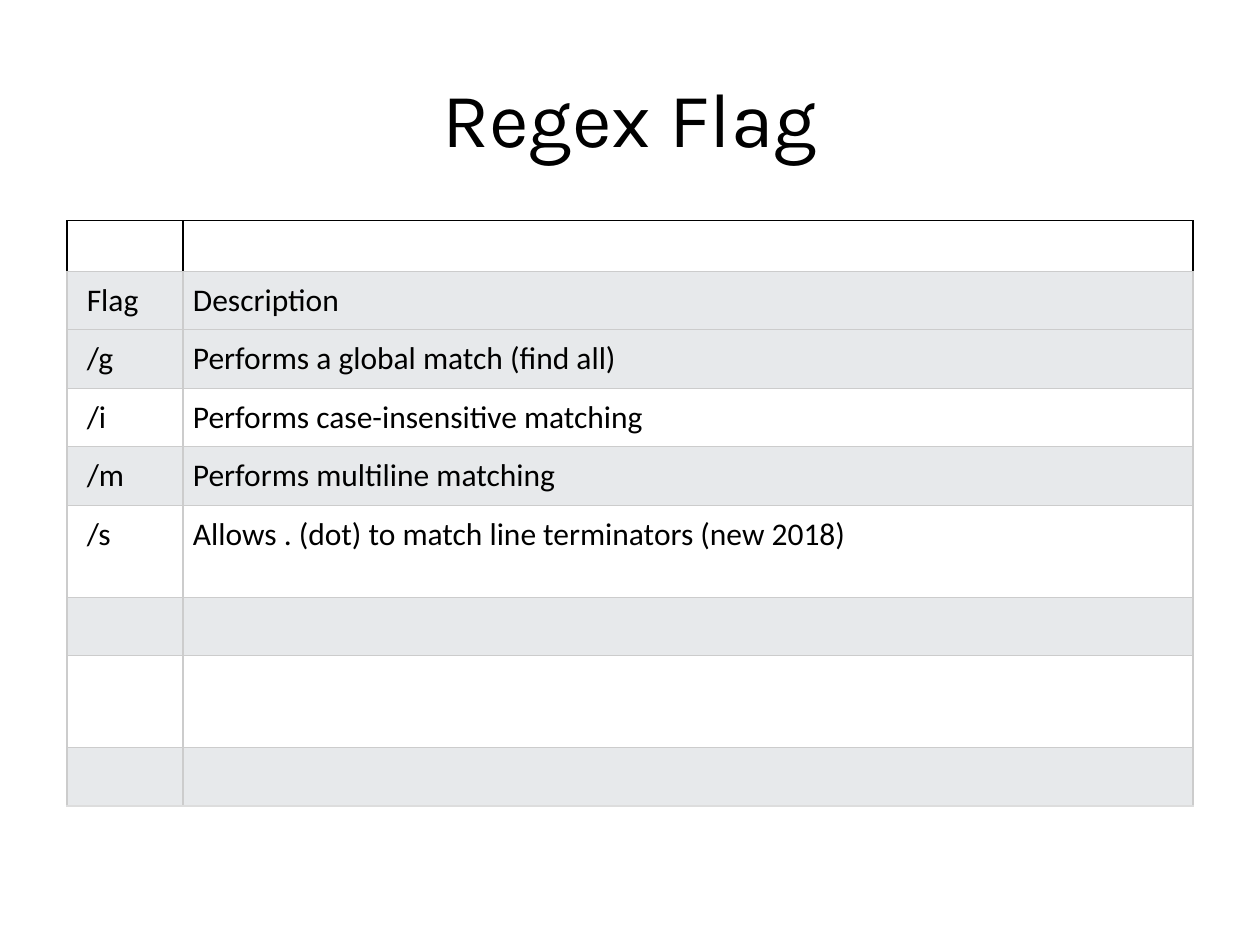
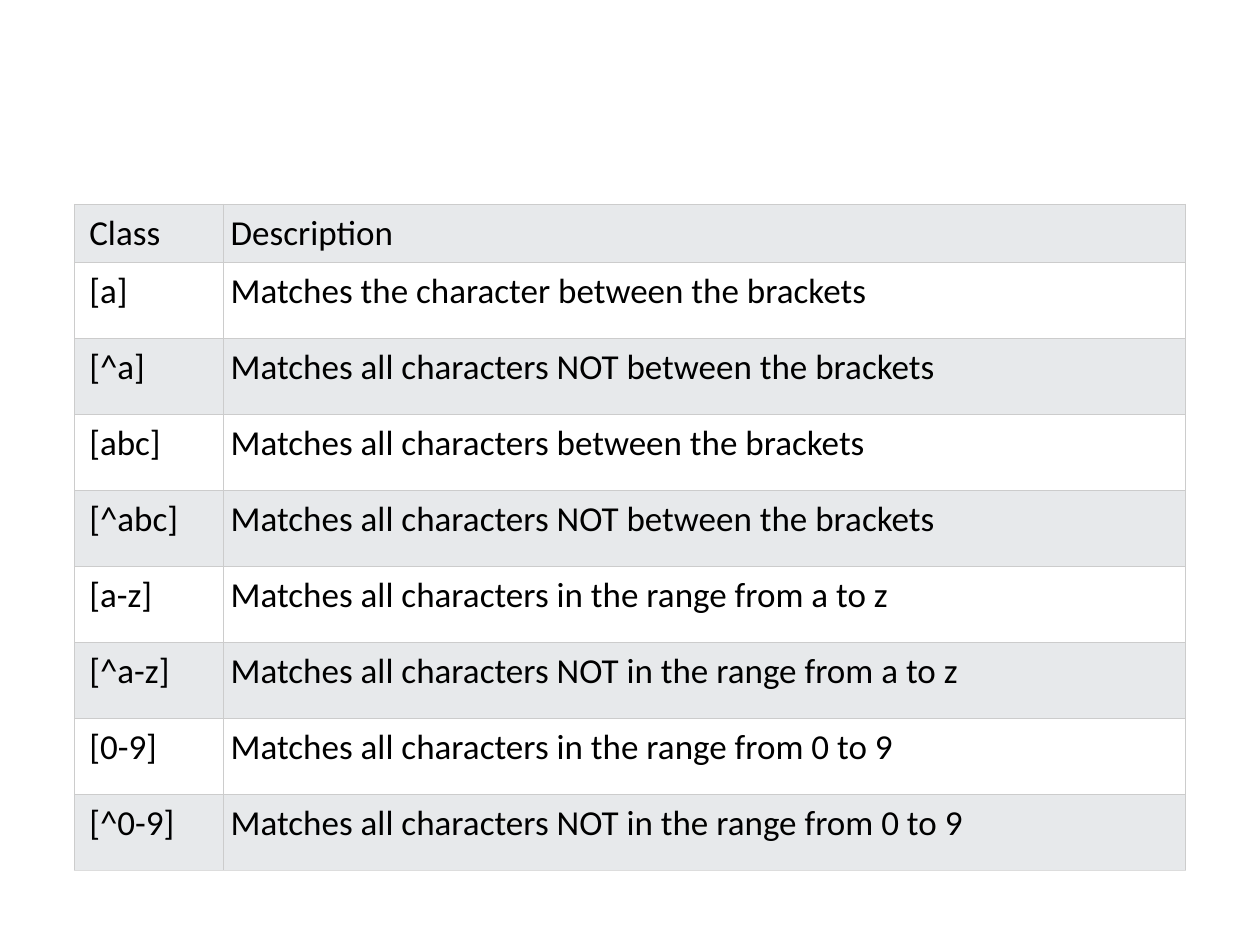
from lxml.etree import SubElement
from pptx import Presentation
from pptx.dml.color import RGBColor
from pptx.enum.text import MSO_ANCHOR as Anchor, PP_ALIGN as Align
from pptx.oxml.ns import qn
from pptx.util import Cm, Pt

COLORS = {
    "text": "000000",
    "page": "FFFFFF",
    "band": "E7E9EB",
    "grid": "CCCCCC",
    "last_edge": "DDDDDD",
    "top_edge": "000000",
}
TITLE_FONT = "Karla"
TABLE_FONT = "Calibri"
BORDER_WIDTH = Pt(0.75)

SHORT_ROW = 1.18
FLAG_ROWS = [
    ("", ""),
    ("Flag", "Description"),
    ("/g", "Performs a global match (find all)"),
    ("/i", "Performs case-insensitive matching"),
    ("/m", "Performs multiline matching"),
    ("/s", "Allows . (dot) to match line terminators (new 2018)"),
    ("", ""),
    ("", ""),
    ("", ""),
]
FLAG_HEIGHTS = [1.0] + [SHORT_ROW] * 4 + [1.85, SHORT_ROW] * 2

CLASS_ROWS = [
    ("Class", "Description"),
    ("[a]", "Matches the character between the brackets"),
    ("[^a]", "Matches all characters NOT between the brackets"),
    ("[abc]", "Matches all characters between the brackets"),
    ("[^abc]", "Matches all characters NOT between the brackets"),
    ("[a-z]", "Matches all characters in the range from a to z"),
    ("[^a-z]", "Matches all characters NOT in the range from a to z"),
    ("[0-9]", "Matches all characters in the range from 0 to 9"),
    ("[^0-9]", "Matches all characters NOT in the range from 0 to 9"),
]
CLASS_HEIGHTS = [SHORT_ROW] + [1.53] * 8


def style_runs(para, font_name, size):
    for span in para.runs:
        span.font.name = font_name
        span.font.size = Pt(size)
        span.font.color.rgb = RGBColor.from_string(COLORS["text"])


def add_title(page, text, box):
    left, top, width, height = map(Cm, box)
    frame = page.shapes.add_textbox(left, top, width, height).text_frame
    frame.word_wrap = True
    frame.vertical_anchor = Anchor.MIDDLE
    frame.text = text
    para = frame.paragraphs[0]
    para.alignment = Align.CENTER
    style_runs(para, TITLE_FONT, 44)


def set_borders(cell, sides, bottom):
    """Draw the left, right and top edges in one colour, the bottom in another."""
    properties = cell._tc.get_or_add_tcPr()
    for side in "LRTB":
        line = SubElement(properties, qn(f"a:ln{side}"), w=str(BORDER_WIDTH))
        fill = SubElement(line, qn("a:solidFill"))
        color = COLORS[bottom if side == "B" else sides]
        SubElement(fill, qn("a:srgbClr"), val=color)


def fill_cell(cell, text, size, inset, is_first_column):
    if not text:
        return
    cell.margin_left = Cm(inset * 2 if is_first_column else inset)
    cell.margin_right = cell.margin_top = cell.margin_bottom = Cm(inset)
    cell.text_frame.text = text
    style_runs(cell.text_frame.paragraphs[0], TABLE_FONT, size)


def add_reference_table(page, rows, box, key_width, heights, size, inset,
                        header=0):
    """Add a banded two-column table; rows above the header stay unfilled."""
    left, top, width = box
    table = page.shapes.add_table(
        len(rows), 2, Cm(left), Cm(top), Cm(width), Cm(sum(heights))
    ).table
    table.first_row = table.horz_banding = False
    table.columns[0].width = Cm(key_width)
    table.columns[1].width = Cm(width - key_width)

    for row, (texts, height) in enumerate(zip(rows, heights)):
        table.rows[row].height = Cm(height)
        above_header = row < header
        is_last = row == len(rows) - 1
        is_band = row == header or row % 2 == 0
        for column, text in enumerate(texts):
            cell = table.cell(row, column)
            set_borders(cell, "top_edge" if above_header else "grid",
                        "last_edge" if is_last else "grid")
            if above_header:
                cell.fill.background()
            else:
                cell.fill.solid()
                cell.fill.fore_color.rgb = RGBColor.from_string(
                    COLORS["band" if is_band else "page"])
            fill_cell(cell, text, size, inset, column == 0)


def add_page(deck):
    page = deck.slides.add_slide(deck.slide_layouts[6])
    page.background.fill.solid()
    page.background.fill.fore_color.rgb = RGBColor.from_string(COLORS["page"])
    return page


def build_flag_page(deck):
    page = add_page(deck)
    add_title(page, "Regex Flag", (1.27, 0.76, 22.86, 3.18))
    add_reference_table(page, FLAG_ROWS, (1.35, 4.45, 22.7), 2.34,
                        FLAG_HEIGHTS, size=18, inset=0.2, header=1)


def build_class_page(deck):
    page = add_page(deck)
    add_reference_table(page, CLASS_ROWS, (1.5, 4.12, 22.4), 3.0,
                        CLASS_HEIGHTS, size=20, inset=0.15)


def main():
    deck = Presentation()
    deck.slide_width, deck.slide_height = Cm(25.4), Cm(19.05)
    build_flag_page(deck)
    build_class_page(deck)
    deck.save("out.pptx")


if __name__ == "__main__":
    main()
